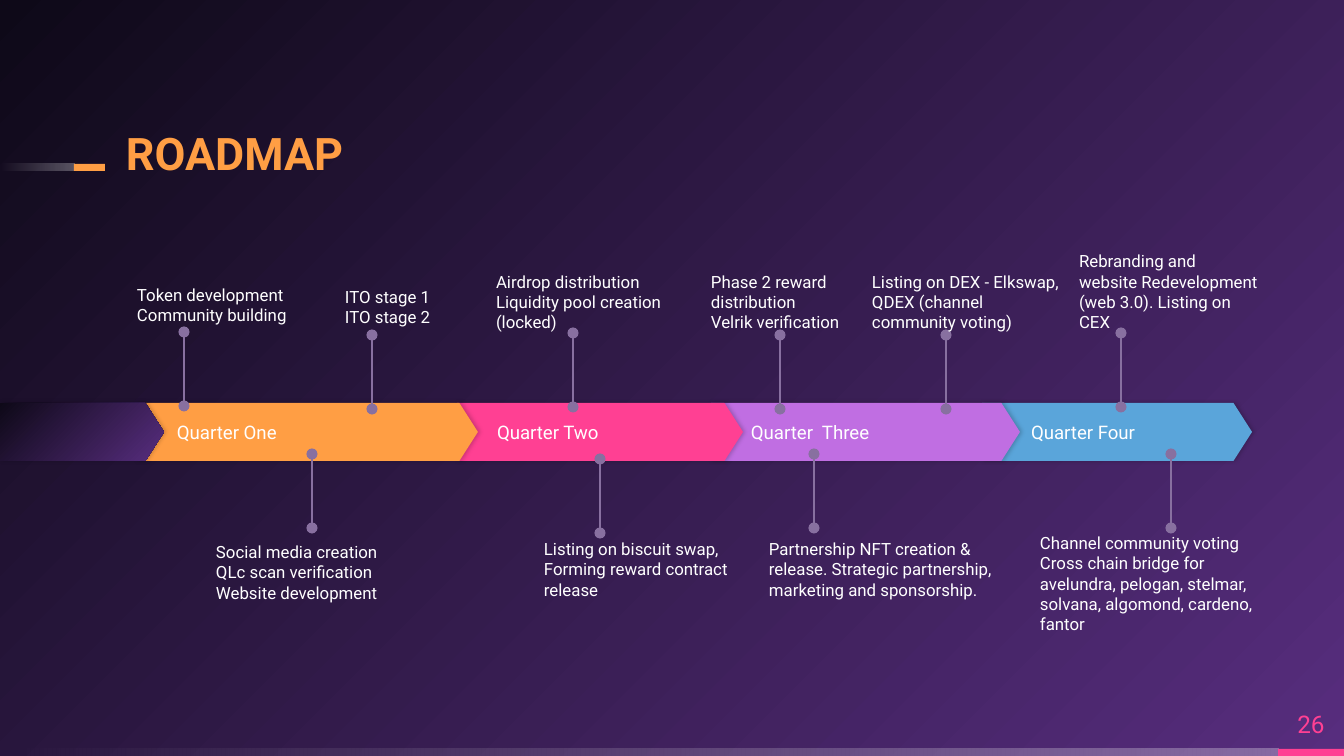
from lxml.etree import SubElement
from pptx import Presentation
from pptx.dml.color import RGBColor
from pptx.enum.shapes import MSO_CONNECTOR as CONNECTOR, MSO_SHAPE as SHAPE
from pptx.enum.text import MSO_ANCHOR as ANCHOR, PP_ALIGN as ALIGN
from pptx.oxml.ns import qn
from pptx.util import Pt

PX = 9144000 / 1344
WIDTH, HEIGHT = 1344, 756
FONT = "Roboto"
WHITE, ORANGE, PINK, VIOLET, BLUE = "FFFFFF", "FF9E44", "FF4093", "C06EE2", "5AA5DA"
PURPLE, NIGHT, PIN = "572D7E", "0E0918", "8870A0"
PIN_LENGTH = 74

ARROWS = [
    (982, 270, BLUE, "Quarter Four", 49),
    (711, 309, VIOLET, "Quarter  Three", 40),
    (457, 286, PINK, "Quarter Two", 40),
    (137, 341, ORANGE, "Quarter One", 40),
]
UPPER = [
    ((137, 247, 184, 78), (47, 159), "Token development\vCommunity building"),
    ((345, 249, 184, 78), (27, 160), "ITO stage 1\vITO stage 2"),
    ((496, 254, 184, 78), (77, 153), "Airdrop distribution\vLiquidity pool creation (locked)"),
    ((711, 254, 176, 78), (69, 155), "Phase 2 reward distribution\vVelrik verification"),
    ((872, 254, 196, 78), (74, 155), "Listing on DEX - Elkswap, QDEX (channel community voting)"),
    ((1079, 254, 184, 78), (42, 153), "Rebranding and\vwebsite Redevelopment (web 3.0). Listing on CEX"),
]
LOWER = [
    ((216, 542, 184, 78), (96, -14), "Social media creation\vQLc scan verification\vWebsite development"),
    ((544, 539, 216, 78), (56, -6), "Listing on biscuit swap, Forming reward contract release"),
    ((769, 539, 227, 78), (45, -11),
     "Partnership NFT creation & release. Strategic partnership, marketing and sponsorship."),
    ((1040, 533, 227, 78), (131, -5),
     "Channel community voting\vCross chain bridge for avelundra, pelogan, stelmar, "
     "solvana, algomond, cardeno, fantor"),
]


def emu(*lengths):
    """Turn px lengths into EMU."""
    return [round(length * PX) for length in lengths]


def color(value):
    """Turn a hex string into a colour."""
    return RGBColor.from_string(value)


def fill_gradient(fill, element, stops, angle=0):
    """Fill with two (hex, opacity percent) stops and return the gradient element."""
    fill.gradient()
    fill.gradient_angle = angle
    gradient = element.find(".//" + qn("a:gradFill"))
    for position, (stop, (value, opacity)) in enumerate(zip(fill.gradient_stops, stops)):
        stop.position = position
        stop.color.rgb = color(value)
        if opacity < 100:
            clr = gradient.findall(".//" + qn("a:srgbClr"))[position]
            SubElement(clr, qn("a:alpha"), val=str(opacity * 1000))
    return gradient


def add_block(slide, kind, box, fill=None):
    """Add a preset shape without line or shadow."""
    shape = slide.shapes.add_shape(kind, *emu(*box))
    shape.shadow.inherit = False
    shape.line.fill.background()
    if fill:
        shape.fill.solid()
        shape.fill.fore_color.rgb = color(fill)
    return shape


def write(shape, text, size, value=WHITE, anchor=ANCHOR.TOP, align=ALIGN.LEFT, inset=0, bold=False):
    """Write one wrapped paragraph into a shape."""
    frame = shape.text_frame
    frame.text = text
    frame.word_wrap = True
    frame.vertical_anchor = anchor
    frame.margin_left = emu(inset)[0]
    frame.margin_top = frame.margin_right = frame.margin_bottom = 0
    paragraph = frame.paragraphs[0]
    paragraph.alignment = align
    for run in paragraph.runs:
        run.font.name, run.font.size, run.font.bold = FONT, Pt(size), bold
        run.font.color.rgb = color(value)
    return paragraph


def add_text(slide, box, text, size, **style):
    """Add a text box and return its paragraph."""
    return write(slide.shapes.add_textbox(*emu(*box)), text, size, **style)


def add_accent(slide, box, tip, value):
    """Add a fading bar that ends in a solid tip of the given width."""
    left, top, width, height = box
    bar = add_block(slide, SHAPE.RECTANGLE, (left, top, width - tip, height))
    fill_gradient(bar.fill, bar.element, [(WHITE, 30), (WHITE, 0)], 180)
    add_block(slide, SHAPE.RECTANGLE, (left + width - tip, top, tip, height), value)


def add_background(slide):
    """Paint the radial background that glows from the bottom right."""
    gradient = fill_gradient(slide.background.fill, slide.element, [(PURPLE, 100), (NIGHT, 100)])
    gradient.remove(gradient.find(qn("a:lin")))
    radial = SubElement(gradient, qn("a:path"), path="circle")
    SubElement(radial, qn("a:fillToRect"), l="100000", t="100000")


def add_arrow(slide, box, fill=None):
    """Add one arrow of the timeline with a soft shadow."""
    arrow = add_block(slide, SHAPE.PENTAGON, box, fill)
    arrow.adjustments[0] = 0.32
    effects = arrow.element.spPr.find(qn("a:effectLst"))
    shadow = SubElement(effects, qn("a:outerShdw"), blurRad=str(Pt(2.2)), dist=str(Pt(0.8)), dir="0")
    SubElement(SubElement(shadow, qn("a:srgbClr"), val="000000"), qn("a:alpha"), val="20000")
    return arrow


def add_timeline(slide, box):
    """Add the quarter arrows from right to left, then the dark lead-in."""
    left, top, width, height = box
    for offset, length, fill, label, inset in ARROWS:
        arrow = add_arrow(slide, (left + offset, top, length, height), fill)
        write(arrow, label, 10, anchor=ANCHOR.MIDDLE, inset=inset)
    lead_in = add_arrow(slide, (left, top, 164, height))
    fill_gradient(lead_in.fill, lead_in.element, [(NIGHT, 100), (PURPLE, 100)], 315)


def add_milestone(slide, box, pin, text, anchor):
    """Add a milestone text and its pin, which rises from an offset in the box."""
    x, y = box[0] + pin[0], box[1] + pin[1]
    line = slide.shapes.add_connector(CONNECTOR.STRAIGHT, *emu(x, y, x, y - PIN_LENGTH))
    line.line.color.rgb = color(PIN)
    line.line.width = Pt(0.75)
    outline = line.line._get_or_add_ln()
    for end in ("a:headEnd", "a:tailEnd"):
        SubElement(outline, qn(end), type="oval")
    SubElement(line.element.spPr, qn("a:effectLst"))
    add_text(slide, box, text, 9, anchor=anchor)


def add_roadmap(slide, box):
    """Lay out the roadmap slide inside the box."""
    left, top, width, height = box
    add_background(slide)
    add_accent(slide, (left, top + height - 7, width, 7), 66, PINK)
    add_accent(slide, (left, top + 164, 105, 7), 31, ORANGE)
    title = add_text(slide, (left + 126, top + 122, 780, 58), "ROADMAP", 24,
                     value=ORANGE, anchor=ANCHOR.BOTTOM, bold=True)
    title.line_spacing = 0.9
    add_text(slide, (left + width - 66, top + 698, 66, 51), "26", 13,
             value=PINK, anchor=ANCHOR.MIDDLE, align=ALIGN.CENTER)
    add_timeline(slide, (left, top + 403, 1252, 58))
    for milestones, anchor in ((UPPER, ANCHOR.BOTTOM), (LOWER, ANCHOR.TOP)):
        for (x, y, w, h), pin, text in milestones:
            add_milestone(slide, (left + x, top + y, w, h), pin, text, anchor)


def main():
    """Build and save the presentation."""
    presentation = Presentation()
    presentation.slide_width, presentation.slide_height = emu(WIDTH, HEIGHT)
    slide = presentation.slides.add_slide(presentation.slide_layouts[6])
    add_roadmap(slide, (0, 0, WIDTH, HEIGHT))
    presentation.save("out.pptx")


if __name__ == "__main__":
    main()
